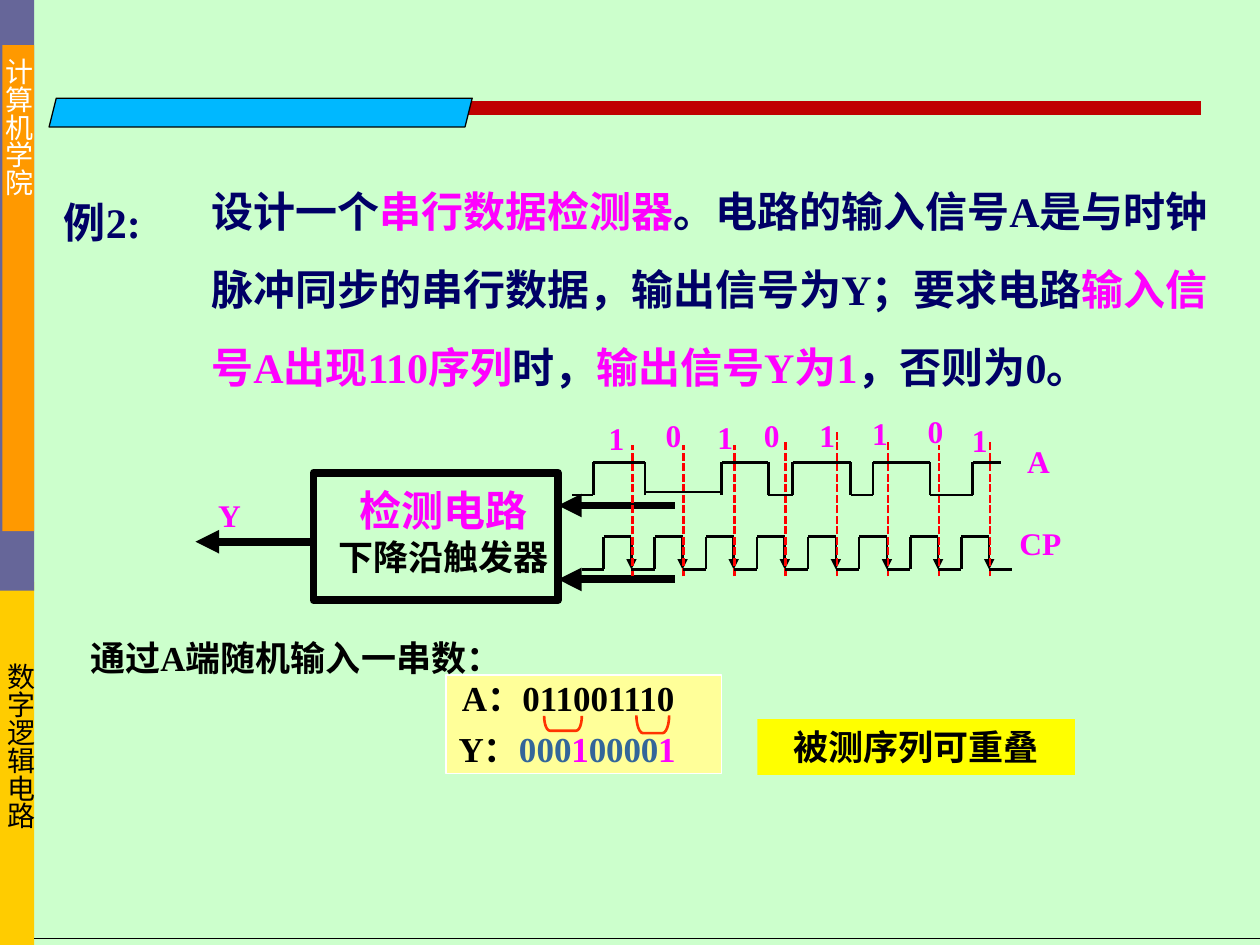
from lxml.etree import SubElement
from pptx import Presentation
from pptx.dml.color import RGBColor
from pptx.enum.dml import MSO_LINE
from pptx.enum.shapes import MSO_CONNECTOR, MSO_SHAPE
from pptx.enum.text import MSO_ANCHOR, PP_ALIGN
from pptx.oxml.ns import qn
from pptx.util import Cm, Pt

# Content: all lengths in centimetres
SERIF, NARROW = "Times New Roman", "Arial Narrow"
NAVY, PINK, BLACK, SLATE, RED = "000066", "FF00FF", "000000", "336699", "FF0000"

PROBLEM = [
    ("设计一个", NAVY),
    ("串行数据检测器", PINK),
    ("。电路的输入信号A是与时钟脉冲同步的串行数据，输出信号为Y；要求电路", NAVY),
    ("输入信号A出现110序列", PINK),
    ("时，", NAVY),
    ("输出信号Y为1", PINK),
    ("，否则为0。", NAVY),
]
SIGNAL_LABELS = [("A", 20.45, 8.79, 0.97), ("CP", 20.29, 10.44, 1.37), ("Y", 4.14, 9.88, 0.97)]
INPUT_BITS = [("1", 12.01, 8.33), ("0", 13.16, 8.26), ("1", 14.2, 8.31), ("0", 15.14, 8.26),
              ("1", 16.26, 8.26), ("1", 17.32, 8.23), ("0", 18.44, 8.18), ("1", 19.33, 8.36)]
OUTPUT_BITS = "00100001"

# Waveforms: the clock is regular, the data signal is a list of edges
CLOCK_START, CLOCK_END, CLOCK_LOW, CLOCK_HIGH = 11.73, 20.4, 11.48, 10.82
FIRST_RISE, FIRST_FALL, FIRST_MARKER, PERIOD = 12.17, 12.73, 12.75, 1.03
MARKER_TOPS = [8.97, 8.97, 8.97, 8.92, 8.71, 8.92, 8.97, 8.92]
MARKER_BOTTOM = 11.62
DATA_EDGES = [11.53, 11.96, 13, 14.55, 15.49, 15.98, 17.15, 17.6, 18.75, 19.61, 20.17]
DATA_LEVELS = [9.98, 9.32, 9.92, 9.32, 9.98, 9.32, 9.98, 9.32, 9.98, 9.32]
DATA_LOW, DATA_HIGH = 9.98, 9.32

presentation = Presentation()
presentation.slide_width, presentation.slide_height = Cm(25.4), Cm(19.05)
slide = presentation.slides.add_slide(presentation.slide_layouts[6])


def color(hex_string):
    return RGBColor.from_string(hex_string)


def add_box(kind, left, top, width, height, fill=None, line=None, line_width=0.75):
    shape = slide.shapes.add_shape(kind, Cm(left), Cm(top), Cm(width), Cm(height))
    shape.shadow.inherit = False
    if fill:
        shape.fill.solid()
        shape.fill.fore_color.rgb = color(fill)
    else:
        shape.fill.background()
    if line:
        shape.line.color.rgb = color(line)
        shape.line.width = Pt(line_width)
    else:
        shape.line.fill.background()
    return shape


def add_line(start, end, line=BLACK, width=1.5, arrow=False, dashed=False):
    """Draw a straight line; an arrowhead sits at its start."""
    connector = slide.shapes.add_connector(
        MSO_CONNECTOR.STRAIGHT, Cm(start[0]), Cm(start[1]), Cm(end[0]), Cm(end[1]))
    connector.line.color.rgb = color(line)
    connector.line.width = Pt(width)
    if dashed:
        connector.line.dash_style = MSO_LINE.SQUARE_DOT
    properties = connector._element.spPr
    if arrow:
        SubElement(properties.find(qn("a:ln")), qn("a:headEnd"), type="triangle")
    SubElement(properties, qn("a:effectLst"))


def write(shape, paragraphs, size, font=SERIF, align=PP_ALIGN.CENTER, bold=True,
          wrap=True, anchor=MSO_ANCHOR.TOP, spacing=None, vertical=False):
    """Fill a shape with paragraphs, each a list of (text, colour) runs."""
    frame = shape.text_frame
    frame.word_wrap = wrap
    frame.vertical_anchor = anchor
    if vertical:
        frame._txBody.bodyPr.set("vert", "eaVert")
    for index, runs in enumerate(paragraphs):
        paragraph = frame.add_paragraph() if index else frame.paragraphs[0]
        paragraph.alignment = align
        if spacing:
            paragraph.line_spacing = spacing
        for text, hex_string in runs:
            run = paragraph.add_run()
            run.text = text
            run.font.size, run.font.name, run.font.bold = Pt(size), font, bold
            run.font.color.rgb = color(hex_string)
    return frame


def add_text(left, top, width, height, paragraphs, size, **style):
    box = slide.shapes.add_textbox(Cm(left), Cm(top), Cm(width), Cm(height))
    return write(box, paragraphs, size, **style)


# Background, side bars and header
slide.background.fill.solid()
slide.background.fill.fore_color.rgb = color("CCFFCC")
add_box(MSO_SHAPE.RECTANGLE, 0, 11.73, 0.69, 7.32, "FFCC00")
add_box(MSO_SHAPE.RECTANGLE, 0, 0, 0.69, 11.91, "666699")
add_line((1.4, 2.18), (24.21, 2.18), "C00000", 8)
college = add_box(MSO_SHAPE.RECTANGLE, 0.05, 0.91, 0.64, 9.8, "FF9900")
write(college, [[("计算机学院", "FFFFFF")]], 16, font="League Spartan", bold=False,
      align=PP_ALIGN.LEFT, anchor=MSO_ANCHOR.MIDDLE, vertical=True)
add_line((0.69, 18.92), (25.4, 18.92), width=0.75)
add_text(-0.3, 13.11, 1.17, 5, [[("数字逻辑电路", BLACK)]], 16, font="DejaVu Sans",
         bold=False, align=PP_ALIGN.LEFT, vertical=True)
add_box(MSO_SHAPE.PARALLELOGRAM, 0.99, 1.98, 8.53, 0.58, "00B8FF", BLACK)

# Problem statement
add_text(1.04, 3.84, 2.34, 1.27, [[("例2:", NAVY)]], 24, align=PP_ALIGN.LEFT)
add_text(4.01, 3.05, 21.39, 4.98, [PROBLEM], 24, align=PP_ALIGN.LEFT,
         anchor=MSO_ANCHOR.MIDDLE, spacing=1.55)

# Detector with its input and output arrows
add_box(MSO_SHAPE.RECTANGLE, 6.32, 9.53, 4.93, 2.57, line=BLACK, line_width=4.5)
detector = add_text(6.53, 9.65, 4.83, 2.13,
                    [[("检测电路", PINK)], [("下降沿触发器", BLACK)]], 24, wrap=False)
trigger_font = detector.paragraphs[1].runs[0].font
trigger_font.size, trigger_font.name = Pt(20), NARROW
for tip, tail, y in [(11.25, 13.61, 11.68), (11.25, 13.61, 10.19), (3.94, 6.32, 10.92)]:
    add_line((tip, y), (tail, y), width=4.5, arrow=True)

# Clock pulses with falling-edge arrows and dashed markers
low_start = CLOCK_START
for index, marker_top in enumerate(MARKER_TOPS):
    shift = PERIOD * index
    rise, fall, marker = FIRST_RISE + shift, FIRST_FALL + shift, FIRST_MARKER + shift
    add_line((low_start, CLOCK_LOW), (rise, CLOCK_LOW))
    add_line((rise, CLOCK_LOW), (rise, CLOCK_HIGH))
    add_line((rise, CLOCK_HIGH), (fall, CLOCK_HIGH))
    add_line((fall, CLOCK_LOW), (fall, CLOCK_HIGH), arrow=True)
    add_line((marker, MARKER_BOTTOM), (marker, marker_top), RED, dashed=True)
    low_start = fall
add_line((low_start, CLOCK_LOW), (CLOCK_END, CLOCK_LOW))

# Data signal
for start, end, level in zip(DATA_EDGES, DATA_EDGES[1:], DATA_LEVELS):
    add_line((start, level), (end, level))
for edge in DATA_EDGES[1:-1]:
    add_line((edge, DATA_LOW), (edge, DATA_HIGH))

# Signal names and input bits
bit_labels = [(bit, left, top, 0.84) for bit, left, top in INPUT_BITS]
for label, left, top, width in SIGNAL_LABELS + bit_labels:
    add_text(left, top, width, 1.02, [[(label, PINK)]], 18, wrap=False)

# Sample sequence
add_box(MSO_SHAPE.RECTANGLE, 8.99, 13.61, 5.56, 1.98, "FFFF99", "FFFFFF")
add_text(8.94, 14.55, 2.18, 1.12, [[("Y：", BLACK), ("0", SLATE)]], 20)
for index, bit in enumerate(OUTPUT_BITS):
    add_text(10.57 + 0.35 * index, 14.55, 0.84, 1.12,
             [[(bit, PINK if bit == "1" else SLATE)]], 20)
add_text(8.28, 13.51, 6.35, 1.12, [[("A：011001110", BLACK)]], 20)
for left, top, width, height in [(11.2, 14.2, 0.3, 0.76), (12.98, 14.27, 0.36, 0.66)]:
    bracket = add_box(MSO_SHAPE.LEFT_BRACKET, left, top, width, height,
                      line="FF3300", line_width=1.5)
    bracket.adjustments[0] = 0.38
    bracket.rotation = 270

# Remarks
remark = add_box(MSO_SHAPE.RECTANGLE, 15.27, 14.5, 6.4, 1.12, "FFFF00")
write(remark, [[("被测序列可重叠", BLACK)]], 20)
add_text(1.52, 12.7, 8.89, 1.12, [[("通过A端随机输入一串数：", BLACK)]], 20)

presentation.save("out.pptx")
